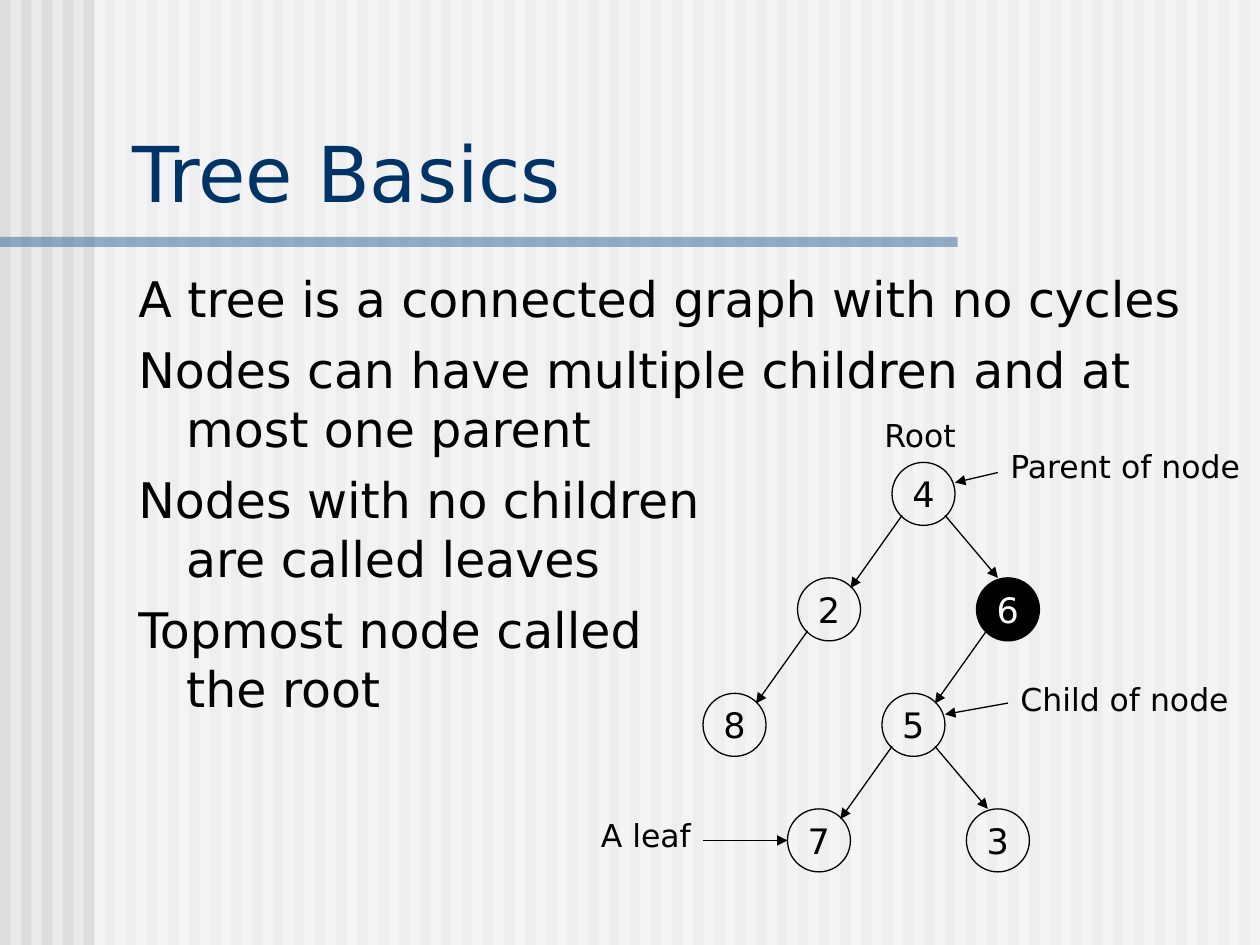
from lxml.etree import SubElement
from pptx import Presentation
from pptx.dml.color import RGBColor
from pptx.enum.shapes import MSO_CONNECTOR, MSO_SHAPE
from pptx.enum.text import MSO_ANCHOR, PP_ALIGN
from pptx.oxml.ns import qn
from pptx.util import Inches, Pt

FONT = "DejaVu Sans"
BLACK = RGBColor(0x00, 0x00, 0x00)
WHITE = RGBColor(0xFF, 0xFF, 0xFF)
PAPER = RGBColor(0xEA, 0xEA, 0xEA)
STRIPE = RGBColor(0xDD, 0xDD, 0xDD)
RULE_BLUE = RGBColor(0x33, 0x66, 0x99)
TITLE_BLUE = RGBColor(0x00, 0x33, 0x66)

STRIPE_COUNT = 60
NODE_SIZE = Inches(0.5)
LEVEL_GAP = Inches(11 / 12)
LEFT_CHILD_SHIFT = Inches(-0.75)
RIGHT_CHILD_SHIFT = Inches(0.67)
NEAR, FAR = Inches(0.08), Inches(0.42)  # where edges touch a node

# Each node is (value, left child, right child).
TREE = ("4",
        ("2", ("8", None, None), None),
        ("6", ("5", ("7", None, None), ("3", None, None)), None))
HIGHLIGHTED = "6"

BODY_LINES = [
    "A tree is a connected graph with no cycles",
    "Nodes can have multiple children and at most one parent",
    "Nodes with no children\vare called leaves",
    "Topmost node called\vthe root",
]


def set_font(paragraph, size, color):
    paragraph.font.name = FONT
    paragraph.font.size = Pt(size)
    paragraph.font.color.rgb = color


def add_panel(slide, left, top, width, height, color, opacity=None):
    """Add a borderless rectangle; opacity is a percentage."""
    shape = slide.shapes.add_shape(MSO_SHAPE.RECTANGLE, left, top, width, height)
    shape.shadow.inherit = False
    shape.line.fill.background()
    shape.fill.solid()
    shape.fill.fore_color.rgb = color
    if opacity is not None:
        color_element = shape.element.spPr.find(f"{qn('a:solidFill')}/{qn('a:srgbClr')}")
        SubElement(color_element, qn("a:alpha"), val=str(opacity * 1000))


def add_arrow(slide, start_x, start_y, end_x, end_y):
    arrow = slide.shapes.add_connector(
        MSO_CONNECTOR.STRAIGHT, start_x, start_y, end_x, end_y)
    arrow.line.color.rgb = BLACK
    arrow.line.width = Pt(0.75)
    SubElement(arrow.line._get_or_add_ln(), qn("a:tailEnd"), type="triangle")
    SubElement(arrow.element.spPr, qn("a:effectLst"))


def add_label(slide, text, left, top, width):
    box = slide.shapes.add_textbox(left, top, width, Inches(0.4))
    box.text_frame.word_wrap = True
    paragraph = box.text_frame.paragraphs[0]
    paragraph.text = text
    set_font(paragraph, 18, BLACK)


def add_backdrop(slide, left, top, width, height):
    slide.background.fill.solid()
    slide.background.fill.fore_color.rgb = PAPER
    pitch = width / STRIPE_COUNT
    for index in range(STRIPE_COUNT):
        add_panel(slide, int(left + index * pitch), top, int(pitch / 2), height, STRIPE)
    margin = Inches(0.75)
    add_panel(slide, left + margin, top, width - margin, height, WHITE, 50)
    add_panel(slide, left, top + Inches(1.88), Inches(7.6), Inches(0.08), RULE_BLUE, 50)


def add_title(slide, left, top, width, height):
    title = slide.shapes.title
    title.left, title.top, title.width, title.height = left, top, width, height
    title.element.getparent().append(title.element)  # in front of the backdrop
    title.text_frame.vertical_anchor = MSO_ANCHOR.BOTTOM
    paragraph = title.text_frame.paragraphs[0]
    paragraph.text = "Tree Basics"
    paragraph.alignment = PP_ALIGN.LEFT
    set_font(paragraph, 44, TITLE_BLUE)


def add_body(slide, left, top, width, height):
    frame = slide.shapes.add_textbox(left, top, width, height).text_frame
    frame.word_wrap = True
    for index, line in enumerate(BODY_LINES):
        paragraph = frame.add_paragraph() if index else frame.paragraphs[0]
        paragraph.text = line
        properties = paragraph._p.get_or_add_pPr()
        properties.set("marL", str(Inches(0.38)))
        properties.set("indent", str(Inches(-0.38)))
        if index:
            paragraph.space_before = Pt(7)
        set_font(paragraph, 28, BLACK)


def add_node(slide, value, left, top):
    node = slide.shapes.add_shape(MSO_SHAPE.OVAL, left, top, NODE_SIZE, NODE_SIZE)
    node.shadow.inherit = False
    node.line.color.rgb = BLACK
    node.line.width = Pt(0.75)
    highlighted = value == HIGHLIGHTED
    if highlighted:
        node.fill.solid()
        node.fill.fore_color.rgb = BLACK
    else:
        node.fill.background()
    frame = node.text_frame
    frame.word_wrap = False
    frame.vertical_anchor = MSO_ANCHOR.MIDDLE
    paragraph = frame.paragraphs[0]
    paragraph.text = value
    paragraph.alignment = PP_ALIGN.CENTER
    set_font(paragraph, 20, WHITE if highlighted else BLACK)


def add_subtree(slide, tree, left, top):
    """Draw a node, then its children one level down with their edges."""
    value, left_child, right_child = tree
    add_node(slide, value, left, top)
    child_top = top + LEVEL_GAP
    if left_child:
        child_left = left + LEFT_CHILD_SHIFT
        add_arrow(slide, left + NEAR, top + FAR, child_left + FAR, child_top + NEAR)
        add_subtree(slide, left_child, child_left, child_top)
    if right_child:
        child_left = left + RIGHT_CHILD_SHIFT
        add_arrow(slide, left + FAR, top + FAR, child_left + Inches(0.17), child_top)
        add_subtree(slide, right_child, child_left, child_top)


def add_tree_diagram(slide, left, top):
    add_subtree(slide, TREE, left + Inches(2.41), top + Inches(0.42))
    labels = [
        ("Root", 2.25, 0, 0.92),
        ("Parent of node", 3.25, 0.25, 2.08),
        ("Child of node", 3.33, 2.1, 2),
        ("A leaf", 0, 3.18, 0.92),
    ]
    for text, x, y, width in labels:
        add_label(slide, text, left + Inches(x), top + Inches(y), Inches(width))
    pointers = [
        (3.25, 0.5, 2.91, 0.58),
        (3.33, 2.33, 2.83, 2.42),
        (0.91, 3.42, 1.58, 3.42),
    ]
    for start_x, start_y, end_x, end_y in pointers:
        add_arrow(slide, left + Inches(start_x), top + Inches(start_y),
                  left + Inches(end_x), top + Inches(end_y))


def main():
    presentation = Presentation()
    presentation.slide_width = Inches(10)
    presentation.slide_height = Inches(7.5)
    slide = presentation.slides.add_slide(presentation.slide_layouts[5])
    add_backdrop(slide, 0, 0, presentation.slide_width, presentation.slide_height)
    add_title(slide, Inches(0.95), Inches(0.21), Inches(8.93), Inches(1.57))
    add_body(slide, Inches(1), Inches(2.08), Inches(8.87), Inches(4.58))
    add_tree_diagram(slide, Inches(4.67), Inches(3.25))
    presentation.save("out.pptx")


if __name__ == "__main__":
    main()
